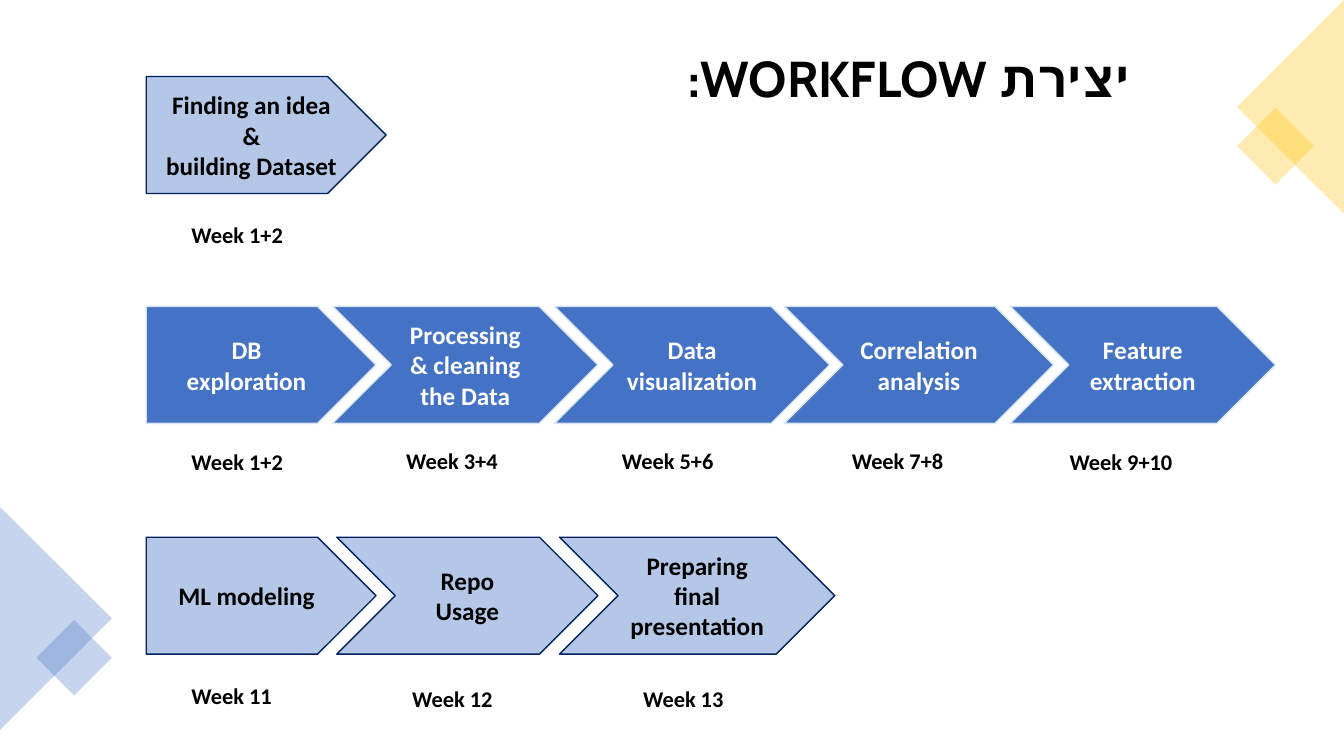
from dataclasses import dataclass
from typing import Any

import pptx
import pptx.dml.color
import pptx.enum.shapes
import pptx.enum.text
import pptx.oxml
import pptx.oxml.ns
import pptx.util

PX = 9144
ARROW_HEIGHT = 116
ROW_LEFT = 145
WEEK_HEIGHT = 37
Preset = pptx.enum.shapes.MSO_SHAPE
Align = pptx.enum.text.PP_ALIGN
Anchor = pptx.enum.text.MSO_ANCHOR
AutoSize = pptx.enum.text.MSO_AUTO_SIZE


@dataclass(frozen=True)
class Theme:
    blue: str = "4472C4"
    pale_blue: str = "B4C7E7"
    navy: str = "002060"
    mist: str = "DAE3F3"
    gold: str = "FFC000"
    black: str = "000000"
    white: str = "FFFFFF"
    heading_font: str = "Cabin"
    body_font: str = "Calibri"
    heading_size: int = 36
    step_size: int = 18
    week_size: int = 16
    ornament_alpha: int = 30


@dataclass(frozen=True)
class Box:
    left: int
    top: int
    width: int
    height: int

    def emu(self) -> list[int]:
        return [side * PX for side in (self.left, self.top, self.width, self.height)]


@dataclass(frozen=True)
class Ornament:
    preset: Any
    box: Box
    rotation: int
    color: str


@dataclass(frozen=True)
class Step:
    left: int
    width: int
    text: str
    week: str
    week_left: int
    week_top: int
    week_width: int = 112


@dataclass(frozen=True)
class Phase:
    top: int
    fill: str
    line: str
    ink: str
    steps: tuple[Step, ...]


THEME = Theme()

ORNAMENTS = (
    Ornament(Preset.ISOSCELES_TRIANGLE, Box(-55, 558, 221, 111), 90, THEME.blue),
    Ornament(Preset.RECTANGLE, Box(47, 626, 53, 53), 45, THEME.blue),
    Ornament(Preset.RECTANGLE, Box(1238, 118, 54, 54), 45, THEME.gold),
    Ornament(Preset.ISOSCELES_TRIANGLE, Box(1174, 53, 212, 106), 270, THEME.gold),
)

PHASES = (
    Phase(76, THEME.pale_blue, THEME.navy, THEME.black, (
        Step(ROW_LEFT, 238, "Finding an idea\v&\vbuilding Dataset", "Week 1+2", 180, 214),
    )),
    Phase(304, THEME.blue, THEME.mist, THEME.white, (
        Step(ROW_LEFT, 228, "DB\vexploration", "Week 1+2", 180, 440),
        Step(330, 263, "Processing & cleaning\vthe Data", "Week 3+4", 393, 439),
        Step(550, 273, "Data\vvisualization", "Week 5+6", 607, 439),
        Step(778, 267, "Correlation analysis", "Week 7+8", 835, 439),
        Step(1002, 263, "Feature extraction", "Week 9+10", 1051, 440, 123),
    )),
    Phase(533, THEME.pale_blue, THEME.navy, THEME.black, (
        Step(ROW_LEFT, 228, "ML modeling", "Week 11", 180, 672, 101),
        Step(334, 259, "Repo\vUsage", "Week 12", 399, 675, 101),
        Step(555, 273, "Preparing final presentation", "Week 13", 628, 675, 101),
    )),
)


def rgb(color: str) -> pptx.dml.color.RGBColor:
    return pptx.dml.color.RGBColor.from_string(color)


def write(frame: Any, text: str, font: str, size: int, color: str, align: Any) -> Any:
    paragraph = frame.paragraphs[0]
    paragraph.text = text
    paragraph.alignment = align
    font_format = {"name": font, "size": pptx.util.Pt(size), "bold": True}
    for run in paragraph.runs:
        for attribute, value in font_format.items():
            setattr(run.font, attribute, value)
        run.font.color.rgb = rgb(color)
    return paragraph


def add_filled(slide: Any, preset: Any, box: Box, color: str) -> Any:
    filled = slide.shapes.add_shape(preset, *box.emu())
    filled.shadow.inherit = False
    filled.fill.solid()
    filled.fill.fore_color.rgb = rgb(color)
    return filled


def add_ornament(slide: Any, ornament: Ornament) -> None:
    corner = add_filled(slide, ornament.preset, ornament.box, ornament.color)
    corner.rotation = ornament.rotation
    corner.line.fill.background()
    tint = corner.fill._xPr.find(".//" + pptx.oxml.ns.qn("a:srgbClr"))
    alpha = pptx.oxml.parse_xml(
        f'<a:alpha {pptx.oxml.ns.nsdecls("a")} val="{THEME.ornament_alpha * 1000}"/>'
    )
    tint.append(alpha)


def add_heading(slide: Any) -> None:
    heading = slide.shapes.add_textbox(*Box(204, 28, 926, 98).emu()).text_frame
    heading.word_wrap = True
    heading.vertical_anchor = Anchor.MIDDLE
    paragraph = write(heading, "יצירת WORKFLOW:", THEME.heading_font,
                      THEME.heading_size, THEME.black, Align.RIGHT)
    paragraph._p.get_or_add_pPr().set("rtl", "1")
    script_font = pptx.oxml.parse_xml(
        f'<a:cs {pptx.oxml.ns.nsdecls("a")} typeface="{THEME.heading_font}"/>'
    )
    paragraph.runs[0]._r.get_or_add_rPr().append(script_font)


def add_step(slide: Any, phase: Phase, step: Step) -> None:
    preset = Preset.PENTAGON if step.left == ROW_LEFT else Preset.CHEVRON
    box = Box(step.left, phase.top, step.width, ARROW_HEIGHT)
    arrow = add_filled(slide, preset, box, phase.fill)
    arrow.line.color.rgb = rgb(phase.line)
    arrow.line.width = pptx.util.Pt(1)
    arrow.text_frame.word_wrap = True
    arrow.text_frame.vertical_anchor = Anchor.MIDDLE
    write(arrow.text_frame, step.text, THEME.body_font, THEME.step_size,
          phase.ink, Align.CENTER)

    week_box = Box(step.week_left, step.week_top, step.week_width, WEEK_HEIGHT)
    week = slide.shapes.add_textbox(*week_box.emu()).text_frame
    week.word_wrap = False
    week.auto_size = AutoSize.SHAPE_TO_FIT_TEXT
    write(week, step.week, THEME.body_font, THEME.week_size, THEME.black, Align.LEFT)


def main() -> None:
    deck = pptx.Presentation()
    deck.slide_width = 1333 * PX
    deck.slide_height = 750 * PX
    slide = deck.slides.add_slide(deck.slide_layouts[6])
    add_heading(slide)
    for ornament in ORNAMENTS:
        add_ornament(slide, ornament)
    for phase in PHASES:
        for step in phase.steps:
            add_step(slide, phase, step)
    deck.save("out.pptx")


if __name__ == "__main__":
    main()
